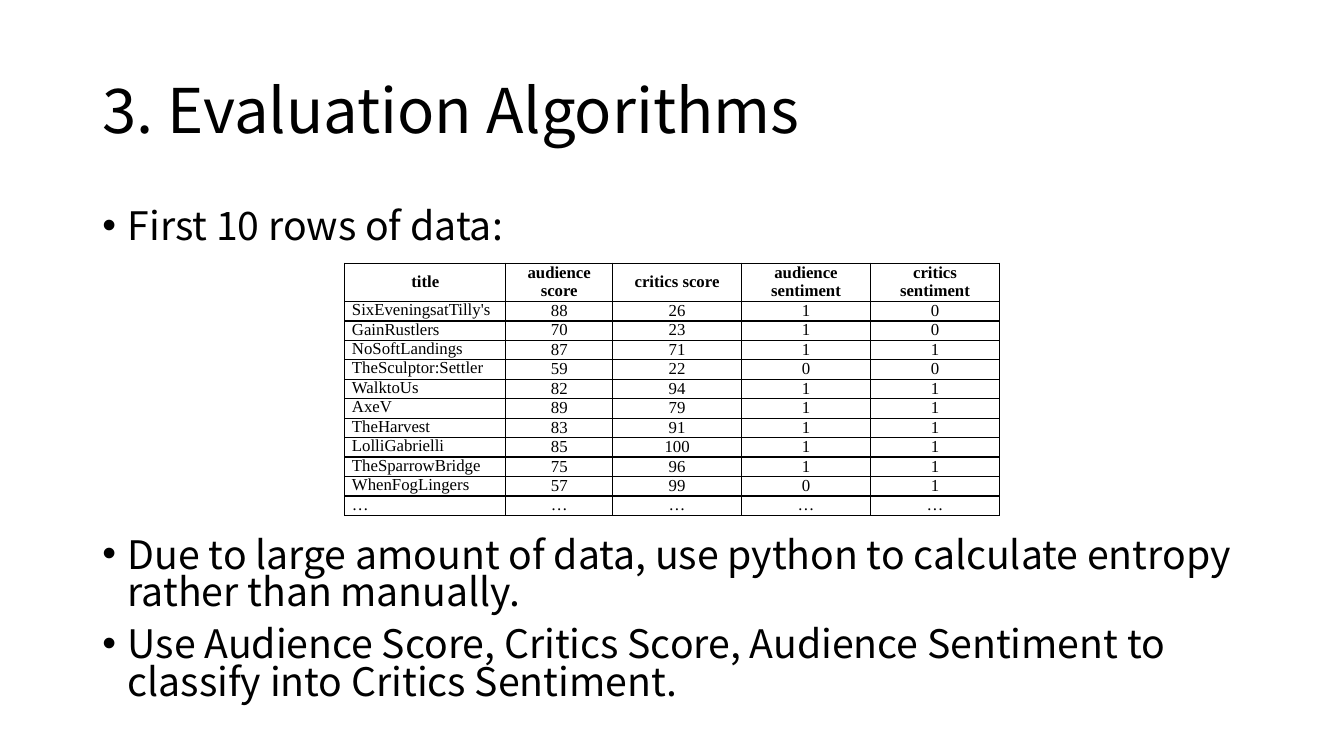
from lxml.etree import SubElement
from pptx import Presentation
from pptx.dml.color import RGBColor
from pptx.enum.text import MSO_ANCHOR as Anchor, MSO_AUTO_SIZE as AutoSize, PP_ALIGN as Align
from pptx.oxml.ns import qn
from pptx.util import Cm, Pt

TITLE = "3. Evaluation Algorithms"
INTRO = ["First 10 rows of data:"]
NOTES = [
    "Due to large amount of data, use python to calculate entropy rather than manually.",
    "Use Audience Score, Critics Score, Audience Sentiment to classify into Critics Sentiment.",
]
MOVIES = [
    ("title", "audience score", "critics score", "audience sentiment", "critics sentiment"),
    ("SixEveningsatTilly's", 88, 26, 1, 0),
    ("GainRustlers", 70, 23, 1, 0),
    ("NoSoftLandings", 87, 71, 1, 1),
    ("TheSculptor:Settler", 59, 22, 0, 0),
    ("WalktoUs", 82, 94, 1, 1),
    ("AxeV", 89, 79, 1, 1),
    ("TheHarvest", 83, 91, 1, 1),
    ("LolliGabrielli", 85, 100, 1, 1),
    ("TheSparrowBridge", 75, 96, 1, 1),
    ("WhenFogLingers", 57, 99, 0, 1),
    ("…",) * 5,
]
COLUMN_WIDTHS = [Cm(4.06), Cm(2.69), Cm(3.25), Cm(3.25), Cm(3.25)]
ROW_HEIGHT = Cm(0.49)
LEFT, WIDTH = Cm(2.33), Cm(29.21)
SANS, SERIF = "Noto Sans CJK SC", "Times New Roman"
BLACK = RGBColor(0, 0, 0)


def style_font(paragraph, name, size, bold=False):
    font = paragraph.font
    font.name, font.size, font.bold = name, Pt(size), bold
    font.color.rgb = BLACK


def add_bullets(slide, lines, top, height, line_spacing):
    frame = slide.shapes.add_textbox(LEFT, top, WIDTH, height).text_frame
    frame.word_wrap = True
    frame.text = "\n".join(lines)
    for paragraph in frame.paragraphs:
        paragraph.line_spacing = line_spacing
        paragraph.space_before = Pt(10)
        properties = paragraph._p.get_or_add_pPr()
        properties.set("marL", str(Cm(0.64)))
        properties.set("indent", str(-Cm(0.64)))
        SubElement(properties, qn("a:buFont")).set("typeface", "Arial")
        SubElement(properties, qn("a:buChar")).set("char", "•")
        style_font(paragraph, SANS, 28)


def add_borders(cell):
    properties = cell._tc.get_or_add_tcPr()
    for side in ("lnL", "lnR", "lnT", "lnB"):
        line = SubElement(properties, qn(f"a:{side}"), w=str(Pt(1)))
        fill = SubElement(line, qn("a:solidFill"))
        SubElement(fill, qn("a:srgbClr"), val=str(BLACK))


def fill_cell(cell, value, is_header, is_name):
    cell.text = str(value)
    cell.margin_left = cell.margin_right = Cm(0.18)
    cell.margin_top = cell.margin_bottom = 0
    cell.vertical_anchor = Anchor.TOP if is_name else Anchor.MIDDLE
    paragraph = cell.text_frame.paragraphs[0]
    paragraph.alignment = Align.LEFT if is_name else Align.CENTER
    paragraph.line_spacing = 0.95
    style_font(paragraph, SERIF, 12, is_header)
    add_borders(cell)
    cell.fill.background()


def add_movie_table(slide):
    table = slide.shapes.add_table(
        len(MOVIES), len(COLUMN_WIDTHS), Cm(8.69), Cm(6.63),
        sum(COLUMN_WIDTHS), ROW_HEIGHT * len(MOVIES),
    ).table
    table.horz_banding = False
    for column, width in zip(table.columns, COLUMN_WIDTHS):
        column.width = width
    for row_index, movie in enumerate(MOVIES):
        table.rows[row_index].height = ROW_HEIGHT
        is_header = row_index == 0
        for column_index, value in enumerate(movie):
            is_name = column_index == 0 and not is_header
            fill_cell(table.cell(row_index, column_index), value, is_header, is_name)


def add_title(slide):
    title = slide.shapes.title
    title.left, title.top, title.width, title.height = LEFT, Cm(1.01), WIDTH, Cm(3.68)
    frame = title.text_frame
    frame.text = TITLE
    frame.auto_size = AutoSize.NONE
    frame.vertical_anchor = Anchor.MIDDLE
    paragraph = frame.paragraphs[0]
    paragraph.alignment = Align.LEFT
    paragraph.line_spacing = 0.9
    style_font(paragraph, SANS, 44)


def main():
    presentation = Presentation()
    presentation.slide_width, presentation.slide_height = Cm(33.87), Cm(19.05)
    slide = presentation.slides.add_slide(presentation.slide_layouts[5])
    add_title(slide)
    add_bullets(slide, INTRO, Cm(5.07), Cm(1.35), 0.9)
    add_movie_table(slide)
    add_bullets(slide, NOTES, Cm(13.46), Cm(4.83), 0.8)
    presentation.save("out.pptx")


if __name__ == "__main__":
    main()
